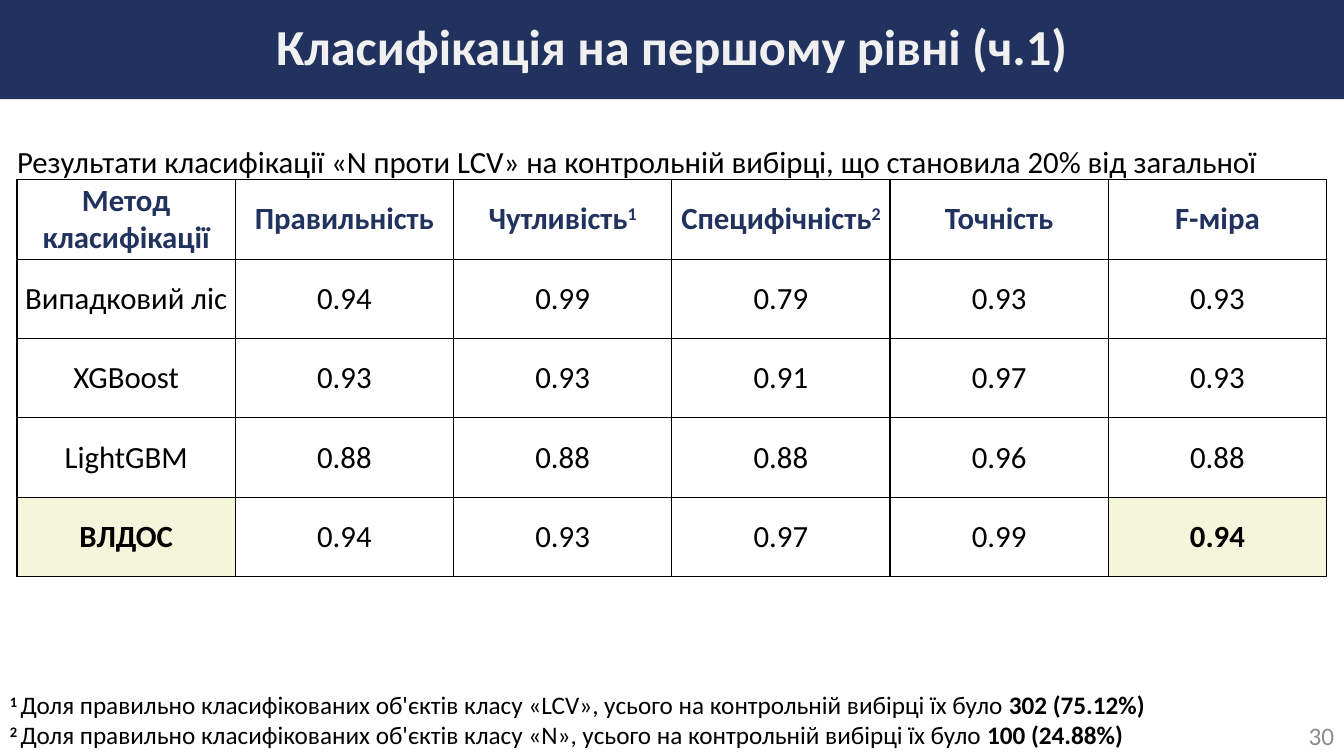
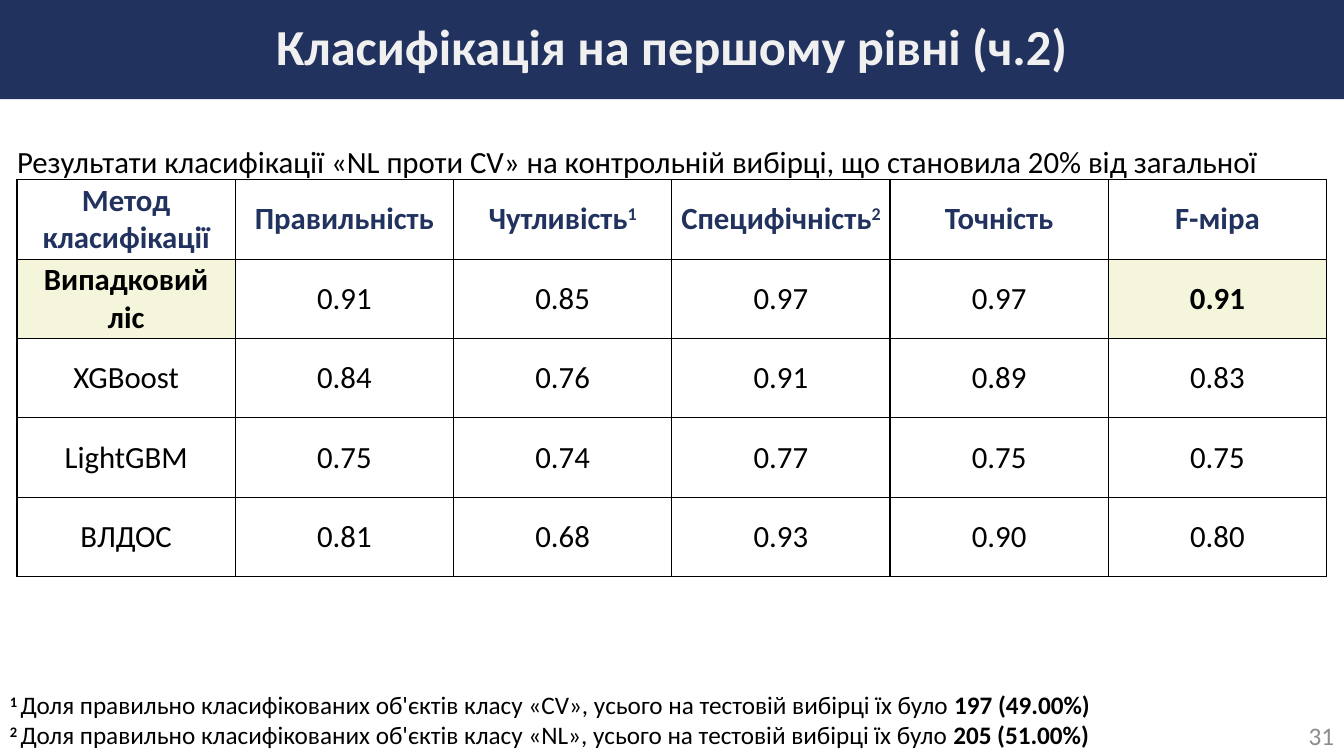
from lxml import etree
from pptx import Presentation
from pptx.dml.color import RGBColor
from pptx.enum.text import MSO_ANCHOR, PP_ALIGN
from pptx.oxml.ns import qn
from pptx.util import Cm, Pt

CENTER, LEFT, RIGHT = PP_ALIGN.CENTER, PP_ALIGN.LEFT, PP_ALIGN.RIGHT
MIDDLE, TOP = MSO_ANCHOR.MIDDLE, MSO_ANCHOR.TOP

# Content
HEADERS = [("Метод класифікації", ""), ("Правильність", ""), ("Чутливість", "1"),
           ("Специфічність", "2"), ("Точність", ""), ("F-міра", "")]
CAPTION = "Результати класифікації «{}» на контрольній вибірці, що становила 20% від загальної"
FOOTNOTE = "Доля правильно класифікованих об'єктів класу «{}», усього на {} вибірці їх було "
SLIDES = [
    {
        "title": "Класифікація на першому рівні (ч.1)",
        "number": "30",
        "classes": "N проти LCV",
        "sample": "контрольній",
        "counts": [("LCV", "302 (75.12%)"), ("N", "100 (24.88%)")],
        "best": "ВЛДОС",
        "results": [
            ("Випадковий ліс", "0.94", "0.99", "0.79", "0.93", "0.93"),
            ("XGBoost", "0.93", "0.93", "0.91", "0.97", "0.93"),
            ("LightGBM", "0.88", "0.88", "0.88", "0.96", "0.88"),
            ("ВЛДОС", "0.94", "0.93", "0.97", "0.99", "0.94"),
        ],
    },
    {
        "title": "Класифікація на першому рівні (ч.2)",
        "number": "31",
        "classes": "NL проти CV",
        "sample": "тестовій",
        "counts": [("CV", "197 (49.00%)"), ("NL", "205 (51.00%)")],
        "best": "Випадковий ліс",
        "results": [
            ("Випадковий ліс", "0.91", "0.85", "0.97", "0.97", "0.91"),
            ("XGBoost", "0.84", "0.76", "0.91", "0.89", "0.83"),
            ("LightGBM", "0.75", "0.74", "0.77", "0.75", "0.75"),
            ("ВЛДОС", "0.81", "0.68", "0.93", "0.90", "0.80"),
        ],
    },
]

# Shared style, lengths in centimetres
FONT = "Calibri"
COLORS = {"navy": "21325E", "title": "F0F0F0", "text": "000000",
          "number": "8C8C8C", "best": "F5F5DC", "white": "FFFFFF"}
SLIDE_W, SLIDE_H = 33.87, 19.05
BAND_H = 2.5
TABLE_LEFT, TABLE_TOP = 0.43, 4.53
COL_W, ROW_H = 5.5, 2
TABLE_W = COL_W * len(HEADERS)
CAPTION_H = 0.94
FOOTNOTE_W, FOOTNOTE_H = 31.88, 1.8
NUMBER_W, NUMBER_H = 7.62, 1.02


def color(name):
    return RGBColor.from_string(COLORS[name])


def add_run(paragraph, text, size, color_name="text", bold=False, raised=False):
    run = paragraph.add_run()
    run.text = text
    run.font.name, run.font.size, run.font.bold = FONT, Pt(size), bold
    run.font.color.rgb = color(color_name)
    if raised:
        run.font._element.set("baseline", "30000")


def add_text_frame(slide, left, top, width, height, anchor=TOP):
    frame = slide.shapes.add_textbox(Cm(left), Cm(top), Cm(width), Cm(height)).text_frame
    frame.word_wrap = True
    frame.vertical_anchor = anchor
    return frame


def add_title(slide, text):
    title = slide.shapes.title
    title.left, title.top, title.width, title.height = 0, 0, Cm(SLIDE_W), Cm(BAND_H)
    title.fill.solid()
    title.fill.fore_color.rgb = color("navy")
    title.text_frame.vertical_anchor = MIDDLE
    paragraph = title.text_frame.paragraphs[0]
    paragraph.alignment, paragraph.line_spacing = CENTER, 0.9
    add_run(paragraph, text, 36, "title", bold=True)


def add_number(slide, number):
    frame = add_text_frame(slide, SLIDE_W - NUMBER_W, SLIDE_H - NUMBER_H,
                           NUMBER_W, NUMBER_H, MIDDLE)
    frame.paragraphs[0].alignment = RIGHT
    add_run(frame.paragraphs[0], number, 18, "number")


def add_caption(slide, classes):
    frame = add_text_frame(slide, TABLE_LEFT, TABLE_TOP - CAPTION_H, TABLE_W, CAPTION_H)
    frame.margin_left = frame.margin_right = frame.margin_top = frame.margin_bottom = 0
    add_run(frame.paragraphs[0], CAPTION.format(classes), 22)


def add_footnotes(slide, sample, counts):
    frame = add_text_frame(slide, 0, SLIDE_H - FOOTNOTE_H, FOOTNOTE_W, FOOTNOTE_H)
    for i, (class_name, count) in enumerate(counts):
        paragraph = frame.add_paragraph() if i else frame.paragraphs[0]
        paragraph.alignment = LEFT
        add_run(paragraph, f"{i + 1} ", 18, bold=True, raised=True)
        add_run(paragraph, FOOTNOTE.format(class_name, sample), 18)
        add_run(paragraph, count, 18, bold=True)


def set_borders(cell):
    properties = cell._tc.get_or_add_tcPr()
    for side in ("a:lnL", "a:lnR", "a:lnT", "a:lnB"):
        line = etree.SubElement(properties, qn(side), w=str(Pt(1)))
        fill = etree.SubElement(line, qn("a:solidFill"))
        etree.SubElement(fill, qn("a:srgbClr"), val=COLORS["text"])


def format_cell(cell, fill_name):
    set_borders(cell)
    cell.fill.solid()
    cell.fill.fore_color.rgb = color(fill_name)
    cell.vertical_anchor = MIDDLE
    cell.margin_left = cell.margin_right = Cm(0.18)
    cell.margin_top = cell.margin_bottom = 0
    paragraph = cell.text_frame.paragraphs[0]
    paragraph.alignment = CENTER
    return paragraph


def add_results(slide, results, best):
    rows, cols = len(results) + 1, len(HEADERS)
    table = slide.shapes.add_table(rows, cols, Cm(TABLE_LEFT), Cm(TABLE_TOP),
                                   Cm(TABLE_W), Cm(ROW_H * rows)).table
    table.horz_banding = False
    for column in table.columns:
        column.width = Cm(COL_W)
    for row in table.rows:
        row.height = Cm(ROW_H)
    for c, (header, mark) in enumerate(HEADERS):
        paragraph = format_cell(table.cell(0, c), "white")
        add_run(paragraph, header, 22, "navy", bold=True)
        if mark:
            add_run(paragraph, mark, 22, "navy", bold=True, raised=True)
    # The best method stands out by its name and its F-measure
    for r, values in enumerate(results, 1):
        for c, value in enumerate(values):
            is_best = values[0] == best and c in (0, cols - 1)
            paragraph = format_cell(table.cell(r, c), "best" if is_best else "white")
            add_run(paragraph, value, 22, bold=is_best)


def main():
    prs = Presentation()
    prs.slide_width, prs.slide_height = Cm(SLIDE_W), Cm(SLIDE_H)
    title_only = prs.slide_layouts[5]
    for content in SLIDES:
        slide = prs.slides.add_slide(title_only)
        add_number(slide, content["number"])
        add_title(slide, content["title"])
        add_footnotes(slide, content["sample"], content["counts"])
        add_results(slide, content["results"], content["best"])
        add_caption(slide, content["classes"])
    prs.save("out.pptx")


if __name__ == "__main__":
    main()
